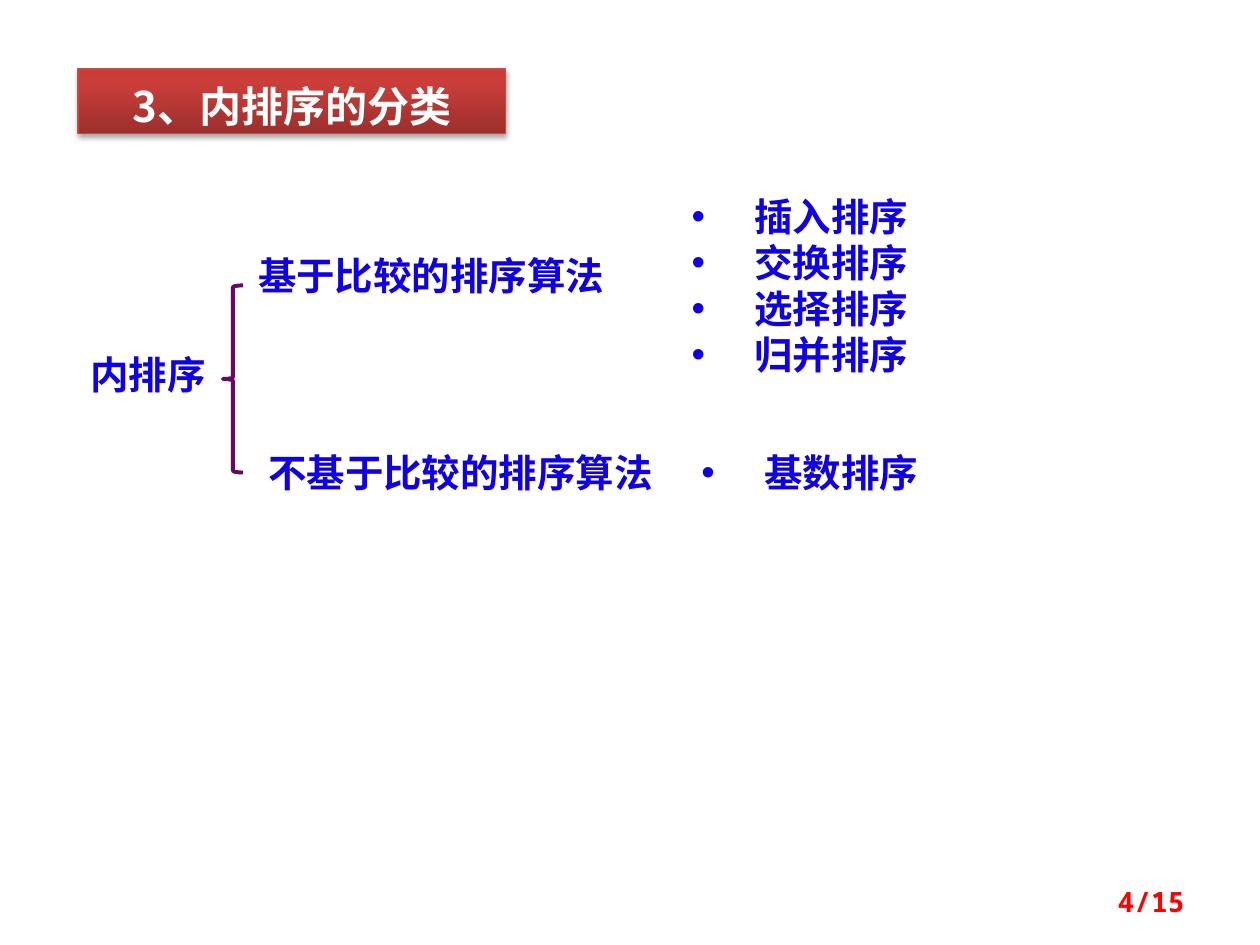
from lxml.etree import SubElement
from pptx import Presentation
from pptx.dml.color import RGBColor
from pptx.enum.shapes import MSO_SHAPE
from pptx.enum.text import MSO_ANCHOR, MSO_AUTO_SIZE, PP_ALIGN
from pptx.oxml import parse_xml
from pptx.oxml.ns import nsdecls, qn
from pptx.util import Pt

COLORS = {
    "text": "1000E4",
    "brace": "690764",
    "page": "FF0000",
    "title": "FFFFFF",
    "edge": "BF4C48",
    "low": "9C2F2D",
    "mid": "CB3E3A",
    "top": "CE3B37",
    "shadow": "000000",
}
HAN = "Noto Sans CJK SC"
ROMAN = "Times New Roman"
MONO = "Noto Sans Mono"


class Board:
    def __init__(self, slide):
        self.slide = slide

    def color(self, name):
        return RGBColor.from_string(COLORS[name])

    def style(self, par, face, size, color):
        font = par.font
        font.size, font.bold, font.name = Pt(size), True, face
        font.color.rgb = self.color(color)
        han = parse_xml(f'<a:ea {nsdecls("a")} typeface="{HAN}"/>')
        font._element.find(qn("a:latin")).addnext(han)

    def place(self, shape, box):
        shape.left, shape.top, shape.width, shape.height = map(Pt, box)

    def title(self, text, box):
        shape = self.slide.shapes.title
        self.place(shape, box)
        props = shape._element.spPr
        stops = "".join(
            f'<a:gs pos="{pos}"><a:srgbClr val="{COLORS[name]}"/></a:gs>'
            for pos, name in ((0, "low"), (80000, "mid"), (100000, "top")))
        props.append(parse_xml(
            f'<a:gradFill {nsdecls("a")} rotWithShape="1"><a:gsLst>{stops}</a:gsLst>'
            '<a:lin ang="16200000" scaled="0"/></a:gradFill>'))
        shape.line.color.rgb = self.color("edge")
        shape.line.width = Pt(0.75)
        props.append(parse_xml(
            f'<a:effectLst {nsdecls("a")}><a:outerShdw blurRad="{Pt(3.1)}" '
            f'dist="{Pt(1.8)}" dir="5400000" rotWithShape="0">'
            f'<a:srgbClr val="{COLORS["shadow"]}"><a:alpha val="35000"/></a:srgbClr>'
            '</a:outerShdw></a:effectLst>'))
        frame = shape.text_frame
        frame.text = text
        frame.auto_size = MSO_AUTO_SIZE.NONE
        frame.vertical_anchor = MSO_ANCHOR.TOP
        par = frame.paragraphs[0]
        par.alignment = PP_ALIGN.CENTER
        par.line_spacing = 1.1
        self.style(par, HAN, 24, "title")

    def text(self, lines, box, face=ROMAN, size=22, color="text", bullet=False):
        frame = self.slide.shapes.add_textbox(*map(Pt, box)).text_frame
        frame.word_wrap = True
        frame.text = "\n".join(lines)
        for par in frame.paragraphs:
            if bullet:
                props = par._p.get_or_add_pPr()
                props.set("marL", str(Pt(36)))
                props.set("indent", str(-Pt(36)))
                SubElement(props, qn("a:buFont")).set("typeface", "Arial")
                SubElement(props, qn("a:buChar")).set("char", "•")
            self.style(par, face, size, color)
        return frame

    def brace(self, box):
        shape = self.slide.shapes.add_shape(MSO_SHAPE.LEFT_BRACE, *map(Pt, box))
        shape.shadow.inherit = False
        shape.fill.background()
        shape.line.color.rgb = self.color("brace")
        shape.line.width = Pt(2.25)

    def page(self, text, box):
        frame = self.text([text], box, MONO, 16, "page")
        frame.vertical_anchor = MSO_ANCHOR.MIDDLE
        frame.paragraphs[0].alignment = PP_ALIGN.RIGHT


def main():
    deck = Presentation()
    deck.slide_width, deck.slide_height = Pt(720), Pt(540)
    board = Board(deck.slides.add_slide(deck.slide_layouts[5]))
    board.title("3、内排序的分类", (44.64, 39.4, 244.1, 36.9))
    board.text(["内排序"], (44.64, 196.9, 95.8, 34), HAN)
    board.text(["基于比较的排序算法"], (140.4, 140.6, 225.4, 34))
    board.text(["不基于比较的排序算法"], (146.2, 253.1, 236.2, 34))
    board.text(["插入排序", "交换排序", "选择排序", "归并排序"],
               (388.1, 106.6, 140.4, 113.8), bullet=True)
    board.text(["基数排序"], (393.8, 253.1, 146.2, 34), bullet=True)
    board.brace((127.4, 163.1, 11.5, 106.9))
    board.page("4/15", (516.2, 500.4, 167.8, 28.8))
    deck.save("out.pptx")


if __name__ == "__main__":
    main()
